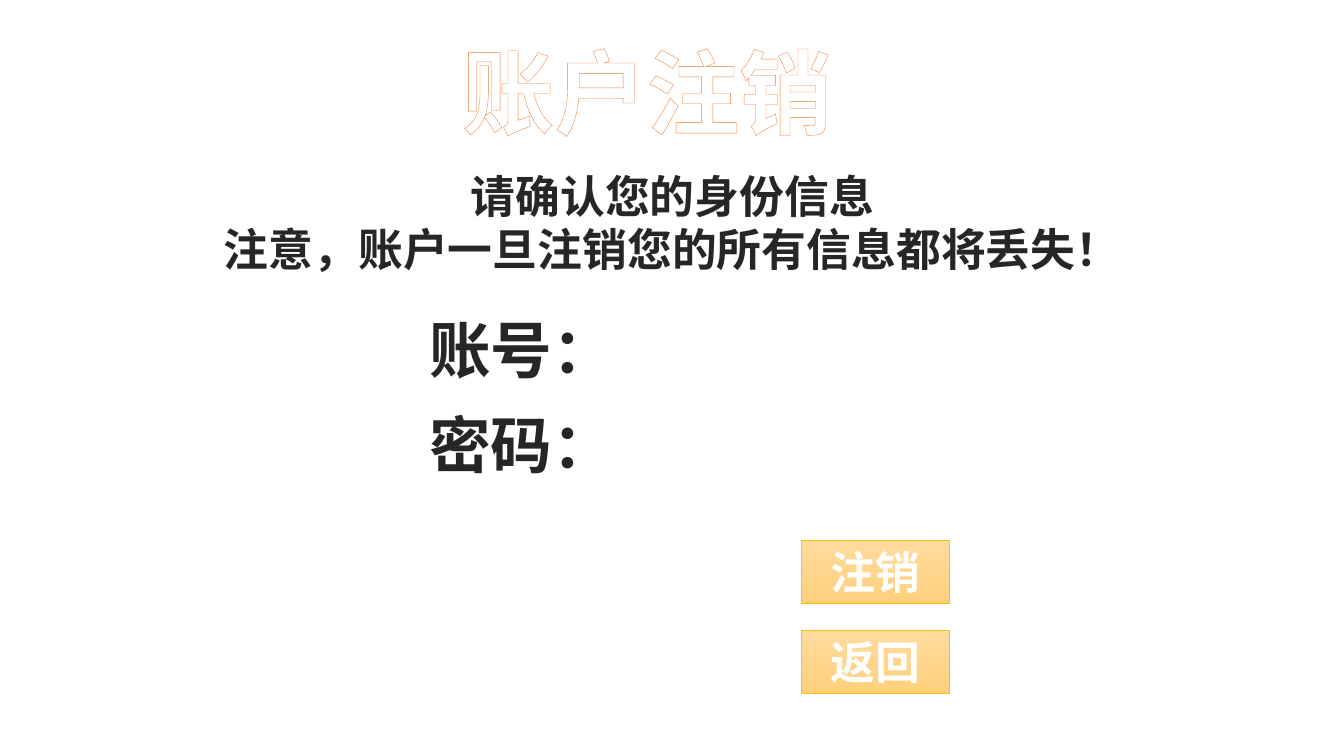
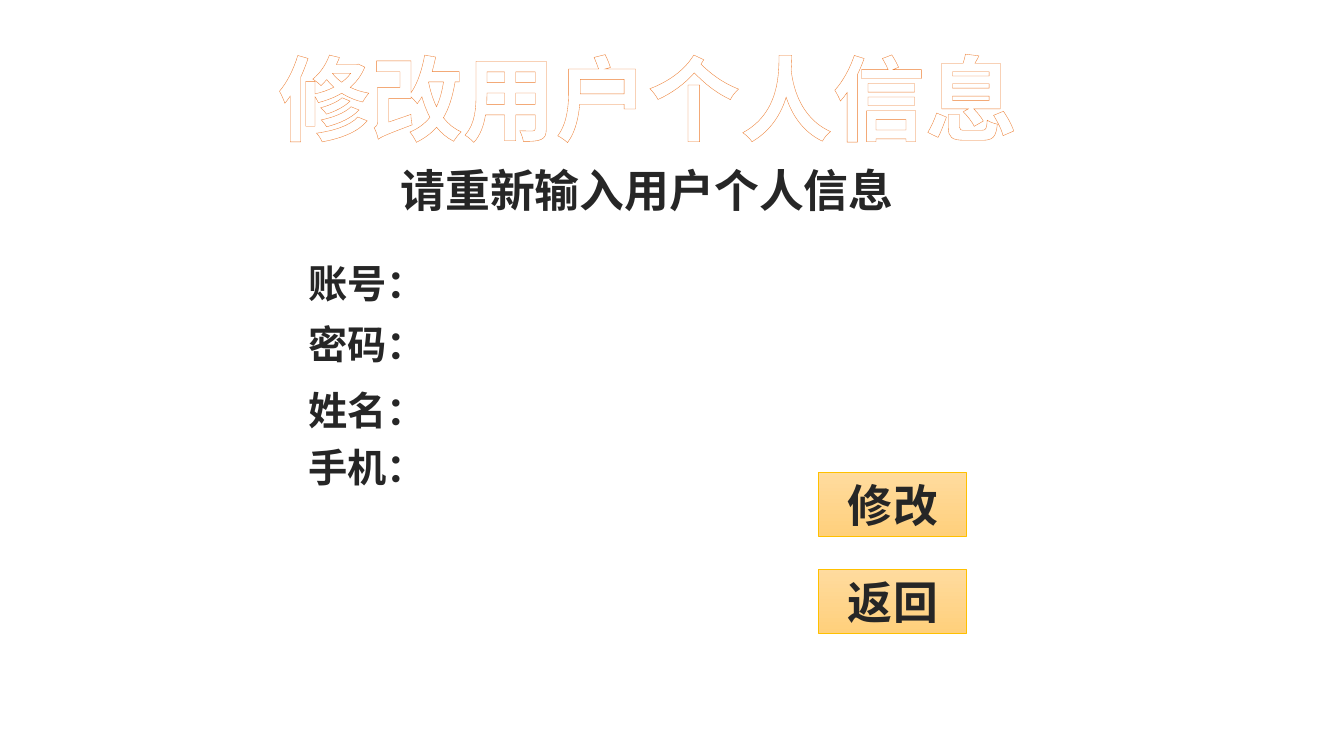
import pptx
import pptx.dml.color
import pptx.enum.dml
import pptx.enum.shapes
import pptx.enum.text
import pptx.oxml
import pptx.oxml.ns
import pptx.util
from pptx.util import Inches

ORANGE, GOLD, BLUE = "ED7D31", "FFC000", "4472C4"
WHITE, OFF_WHITE, DARK = "FFFFFF", "FEFEFE", "262626"
BUTTON_TOP, BUTTON_BOTTOM = "FFDB9E", "FFD07C"
SHADOW = "808080"


def rgb(value):
    return pptx.dml.color.RGBColor.from_string(value)


def drawing_xml(tag, attributes="", content=""):
    namespace = pptx.oxml.ns.nsdecls("a")
    return pptx.oxml.parse_xml(f"<a:{tag} {namespace} {attributes}>{content}</a:{tag}>")


def solid_fill(color):
    return f'<a:solidFill><a:srgbClr val="{color}"/></a:solidFill>'


class AccountDeck:
    """Holds the shared style and the slide being filled."""

    FONT = "Noto Sans CJK SC"
    BUTTON_SIZE = Inches(1.47), Inches(0.63)

    def __init__(self):
        self.presentation = pptx.Presentation()
        self.presentation.slide_width = Inches(13.33)
        self.presentation.slide_height = Inches(7.5)
        self.slide = None

    def new_slide(self):
        self.slide = self.presentation.slides.add_slide(self.presentation.slide_layouts[6])

    def set_lines(self, frame, lines, size, color=DARK, outline=(WHITE, 1.06),
                  spacing=None, shadow=False):
        """Fill a text frame with centred, bold, outlined lines."""
        frame.text = "\n".join(lines)
        for paragraph in frame.paragraphs:
            paragraph.alignment = pptx.enum.text.PP_ALIGN.CENTER
            font = paragraph.font
            font.name, font.size, font.bold = self.FONT, pptx.util.Pt(size), True
            font.color.rgb = rgb(color)
            for run in paragraph.runs:
                self.decorate(run, outline, spacing, shadow)

    def decorate(self, run, outline, spacing, shadow):
        """Add outline, East Asian font, letter spacing and shadow to a run."""
        properties = run._r.get_or_add_rPr()
        line_color, line_width = outline
        properties.append(drawing_xml("ln", f'w="{pptx.util.Pt(line_width)}"',
                                      solid_fill(line_color)))
        if shadow:
            properties.append(drawing_xml(
                "effectLst", "",
                '<a:outerShdw blurRad="38100" dist="19050" dir="2700000">'
                f'<a:srgbClr val="{SHADOW}"/></a:outerShdw>'))
        properties.append(drawing_xml("ea", f'typeface="{self.FONT}"'))
        if spacing:
            properties.set("spc", str(round(spacing * 100)))

    def text(self, left, top, width, height, lines, size, wrap=True, **style):
        box = self.slide.shapes.add_textbox(
            Inches(left), Inches(top), Inches(width), Inches(height))
        box.text_frame.word_wrap = wrap
        box.text_frame.auto_size = pptx.enum.text.MSO_AUTO_SIZE.SHAPE_TO_FIT_TEXT
        self.set_lines(box.text_frame, lines, size, **style)

    def title(self, left, top, width, wording):
        self.text(left, top, width, 1.21, [wording], 66, color=WHITE, outline=(ORANGE, 0.52))

    def fields(self, left, width, height, size, rows):
        """Stack field labels, given as (top, label) pairs."""
        for top, label in rows:
            self.text(left, top, width, height, [label], size, wrap=False)

    def buttons(self, left, top, step, labels, **style):
        """Stack gradient buttons at equal steps."""
        for index, label in enumerate(labels):
            button = self.slide.shapes.add_shape(
                pptx.enum.shapes.MSO_SHAPE.RECTANGLE,
                Inches(left), Inches(top + index * step), *self.BUTTON_SIZE)
            button.shadow.inherit = False
            button.fill.gradient()
            button.fill.gradient_angle = 270
            for stop, color, position in zip(button.fill.gradient_stops,
                                             (BUTTON_TOP, BUTTON_BOTTOM), (0, 1)):
                stop.color.rgb = rgb(color)
                stop.position = position
            button.line.color.rgb = rgb(GOLD)
            button.line.width = pptx.util.Pt(0.5)
            button.text_frame.vertical_anchor = pptx.enum.text.MSO_ANCHOR.MIDDLE
            self.set_lines(button.text_frame, [label], 32, spacing=0.5, **style)


def main():
    deck = AccountDeck()

    deck.new_slide()
    deck.title(3.08, 0.3, 6.67, "账户注销")
    deck.text(2.08, 1.62, 9.18, 1.18,
              ["请确认您的身份信息", "注意，账户一旦注销您的所有信息都将丢失！"], 32, wrap=False)
    deck.fields(4.15, 2.05, 0.84, 44, [(3.05, "账号："), (3.99, "密码：")])
    deck.buttons(7.95, 5.36, 0.89, ["注销", "返回"],
                 color=OFF_WHITE, outline=(BLUE, 0.75), shadow=True)

    deck.new_slide()
    deck.title(2.08, 0.36, 8.69, "修改用户个人信息")
    deck.text(2.84, 1.57, 7.16, 0.64, ["请重新输入用户个人信息"], 32)
    deck.fields(2.95, 1.38, 0.57, 28,
                [(2.52, "账号："), (3.13, "密码："), (3.78, "姓名："), (4.35, "手机：")])
    deck.buttons(8.12, 4.69, 0.96, ["修改", "返回"])

    deck.presentation.save("out.pptx")


if __name__ == "__main__":
    main()
